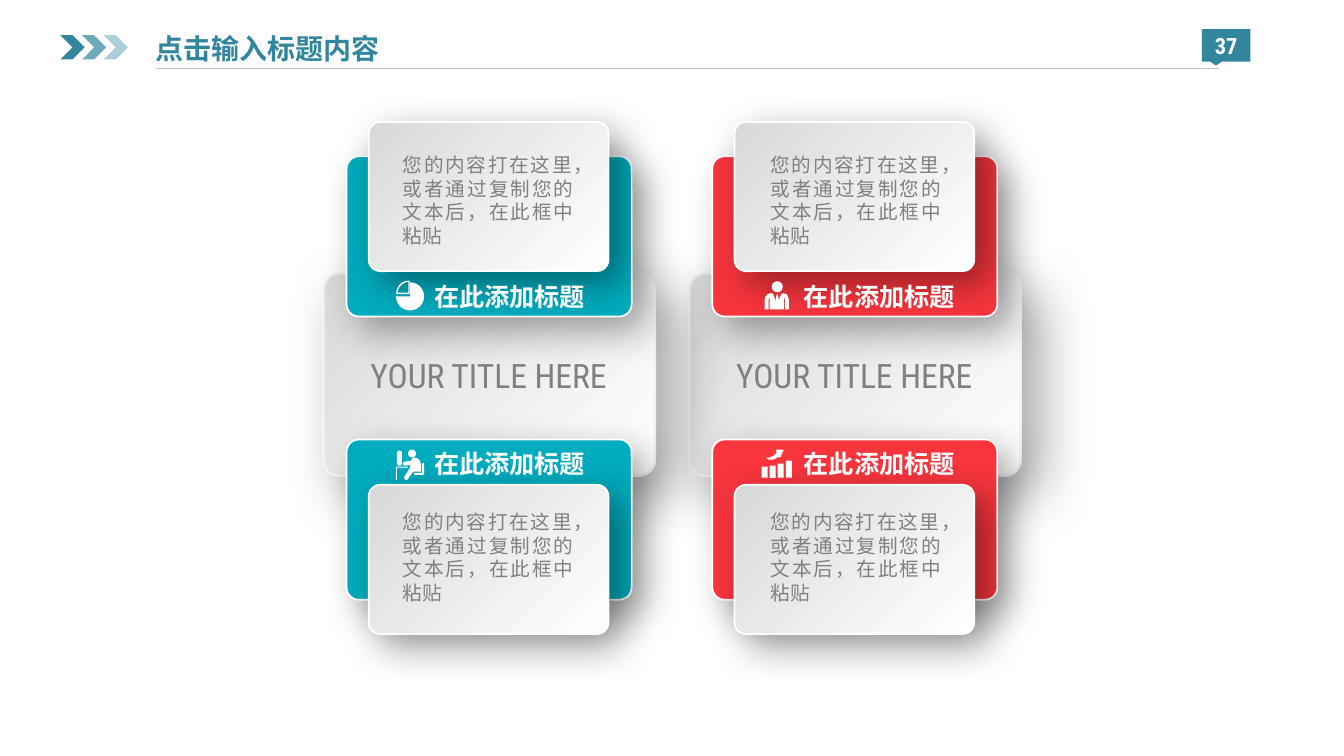
import dataclasses

import lxml.etree
import pptx
import pptx.dml.color
import pptx.enum.shapes
import pptx.enum.text
import pptx.oxml.ns
import pptx.util

SHAPE = pptx.enum.shapes.MSO_SHAPE
ALIGN = pptx.enum.text.PP_ALIGN
ANCHOR = pptx.enum.text.MSO_ANCHOR
CHINESE, LATIN = "Noto Sans CJK SC", "Roboto Condensed"
TEAL, WHITE, GREY = "31859C", "FFFFFF", "808080"
BODY = "您的内容打在这里，或者通过复制您的文本后，在此框中粘贴"
PANEL_SIZE, CARD_SIZE, SHEET_SIZE = (3.29, 2.01), (2.83, 1.59), (2.38, 1.48)


@dataclasses.dataclass
class Column:
    left: float
    accent: str
    heading_left: float
    body_left: float
    icons: tuple


@dataclasses.dataclass
class Row:
    card_top: float
    sheet_top: float
    heading_top: float
    body_top: float


def color(hex_text):
    return pptx.dml.color.RGBColor.from_string(hex_text)


def inches(*lengths):
    return [pptx.util.Inches(length) for length in lengths]


def apply_format(target, values):
    for name, value in values.items():
        setattr(target, name, value)


def add_xml(parent, tag, **attributes):
    return lxml.etree.SubElement(parent, pptx.oxml.ns.qn(tag), attributes)


def set_text(shape, text, size, font, hex_text, align=ALIGN.LEFT, bold=False,
             anchor=ANCHOR.TOP, wrap=True, margins=(0.1, 0.05)):
    side, edge = inches(*margins)
    apply_format(shape.text_frame, {
        "word_wrap": wrap, "vertical_anchor": anchor,
        "auto_size": pptx.enum.text.MSO_AUTO_SIZE.NONE,
        "margin_left": side, "margin_right": side,
        "margin_top": edge, "margin_bottom": edge})
    paragraph = shape.text_frame.paragraphs[0]
    apply_format(paragraph, {"alignment": align,
                             "line_spacing": pptx.util.Pt(size * 1.2)})
    run = paragraph.add_run()
    run.text = text
    apply_format(run.font, {"size": pptx.util.Pt(size), "name": font, "bold": bold})
    run.font.color.rgb = color(hex_text)
    add_xml(run._r.get_or_add_rPr(), "a:ea", typeface=font)


def add_text(slide, box, text, size, font, hex_text, **options):
    shape = slide.shapes.add_textbox(*inches(*box))
    set_text(shape, text, size, font, hex_text, **options)


def paint(shape, hex_text):
    shape.shadow.inherit = False
    shape.fill.solid()
    shape.fill.fore_color.rgb = color(hex_text)
    shape.line.fill.background()


def add_solid(shapes, preset, box, hex_text=WHITE):
    shape = shapes.add_shape(preset, *inches(*box))
    paint(shape, hex_text)
    return shape


def add_outline(shapes, points):
    """Draw a white polygon from points in hundredths of an inch."""
    builder = shapes.build_freeform(*points[0], scale=pptx.util.Inches(0.01))
    builder.add_line_segments(points[1:], close=True)
    paint(builder.convert_to_shape(), WHITE)


def add_rounded(slide, box, line, width, shadow, accent=None):
    """Add a shadowed rounded box, grey gradient unless an accent is given."""
    shape = add_solid(slide.shapes, SHAPE.ROUNDED_RECTANGLE, box, accent or WHITE)
    shape.adjustments[0] = 0.077
    if not accent:
        shape.fill.gradient()
        shape.fill.gradient_angle = 315
        for stop, shade in zip(shape.fill.gradient_stops, ("D9D9D9", WHITE)):
            stop.color.rgb = color(shade)
    shape.line.color.rgb = color(line)
    shape.line.width = pptx.util.Pt(width)
    opacity, blur, distance = shadow
    effects = shape._element.spPr.find(pptx.oxml.ns.qn("a:effectLst"))
    outer = add_xml(effects, "a:outerShdw", blurRad=str(pptx.util.Pt(blur)),
                    dist=str(pptx.util.Pt(distance)), dir="2700000",
                    algn="tl", rotWithShape="0")
    black = add_xml(outer, "a:srgbClr", val="000000")
    add_xml(black, "a:alpha", val=str(opacity * 1000))


def add_pie_icon(shapes):
    pie = add_solid(shapes, SHAPE.PIE, (3.93, 2.8, 0.28, 0.28))
    pie.adjustments[0], pie.adjustments[1] = 162, 108
    quarter = add_solid(shapes, SHAPE.PIE, (3.94, 2.79, 0.24, 0.24))
    quarter.adjustments[0], quarter.adjustments[1] = 108, 162
    quarter.fill.background()
    quarter.line.color.rgb = color(WHITE)
    quarter.line.width = pptx.util.Pt(1)


def add_person_icon(shapes):
    add_solid(shapes, SHAPE.OVAL, (7.66, 2.79, 0.11, 0.11))
    add_outline(shapes, [
        (759, 307), (759, 297), (760, 294), (762, 292), (764, 291), (767, 291),
        (769, 295.5), (771, 301), (770, 297), (771, 292), (772, 292), (773, 297),
        (771.5, 301), (774, 295), (776, 291), (778, 291), (781, 292), (782, 294),
        (783, 297), (783, 307), (779, 307), (779, 296), (778, 296), (778, 307),
        (764, 307), (764, 296), (763, 296), (763, 307)])


def add_desk_icon(shapes):
    add_solid(shapes, SHAPE.ROUNDED_RECTANGLE, (3.94, 4.47, 0.05, 0.15)).adjustments[0] = 0.5
    add_solid(shapes, SHAPE.OVAL, (4.05, 4.46, 0.08, 0.08))
    add_outline(shapes, [(393, 463), (405, 463), (405, 464), (394, 464),
                         (394, 476), (393, 476)])
    add_outline(shapes, [
        (402, 472), (401, 474), (402, 476), (404, 476), (405, 475), (410, 468),
        (418, 468), (418, 462), (417, 457), (415, 455), (412, 454), (410, 454),
        (408, 457), (402, 458), (400, 459), (400, 461), (402, 462), (407, 461),
        (407, 464)])
    add_outline(shapes, [(411, 469), (419, 469), (419, 460), (420, 459),
                         (421, 460), (421, 470), (420, 471), (411, 471)])


def add_growth_icon(shapes):
    for index, height in enumerate((0.11, 0.12, 0.14, 0.17)):
        add_solid(shapes, SHAPE.RECTANGLE,
                  (7.56 + index * 0.08, 4.74 - height, 0.06, height))
    add_outline(shapes, [
        (771, 449), (768, 452), (764, 453.5), (760, 454), (763, 455.5),
        (768, 455.5), (773, 453), (774, 455), (778, 446), (770, 446)])


def add_header(slide):
    chevrons = slide.shapes.add_group_shape().shapes
    for index, opacity in enumerate((100, 70, 40)):
        chevron = add_solid(chevrons, SHAPE.CHEVRON,
                            (0.6 + index * 0.215, 0.35, 0.24, 0.24), TEAL)
        fill_color = chevron.fill._xPr.find(".//" + pptx.oxml.ns.qn("a:srgbClr"))
        add_xml(fill_color, "a:alpha", val=str(opacity * 1000))
    title = slide.shapes.title
    apply_format(title, dict(zip(("left", "top", "width", "height"),
                                 inches(1.47, 0.27, 2.44, 0.41))))
    set_text(title, "点击输入标题内容", 20, CHINESE, TEAL, bold=True,
             wrap=False, margins=(0.07, 0.04))
    rule = slide.shapes.add_connector(pptx.enum.shapes.MSO_CONNECTOR.STRAIGHT,
                                      *inches(1.55, 0.68, 12.1, 0.68))
    rule.line.color.rgb = color("BFBFBF")
    rule.line.width = pptx.util.Pt(0.75)
    add_xml(rule._element.spPr, "a:effectLst")
    badge = add_solid(slide.shapes, SHAPE.RECTANGULAR_CALLOUT,
                      (11.93, 0.29, 0.48, 0.32), TEAL)
    set_text(badge, "37", 16, LATIN, WHITE, align=ALIGN.CENTER, bold=True,
             anchor=ANCHOR.MIDDLE, wrap=False, margins=(0.07, 0))


def main():
    presentation = pptx.Presentation()
    presentation.slide_width, presentation.slide_height = inches(13.34, 7.5)
    slide = presentation.slides.add_slide(presentation.slide_layouts[5])
    columns = (Column(3.21, "01ACBE", 4.21, 3.9, (add_pie_icon, add_desk_icon)),
               Column(6.84, "F8353D", 7.88, 7.55, (add_person_icon, add_growth_icon)))
    rows = (Row(1.55, 1.21, 2.74, 1.47), Row(4.36, 4.81, 4.4, 5.01))

    add_header(slide)
    for column in reversed(columns):
        add_rounded(slide, (column.left, 2.71, *PANEL_SIZE), "F2F2F2", 1.75, (35, 40, 19))
    for index, row in enumerate(rows):
        for column in columns:
            add_rounded(slide, (column.left + 0.23, row.card_top, *CARD_SIZE),
                        WHITE, 1.25, (35, 27, 13), column.accent)
            add_rounded(slide, (column.left + 0.45, row.sheet_top, *SHEET_SIZE),
                        WHITE, 1.25, (40, 28, 12))
            add_text(slide, (column.body_left, row.body_top, 1.89, 1.04), BODY,
                     14, CHINESE, GREY, align=ALIGN.JUSTIFY)
            add_text(slide, (column.heading_left, row.heading_top, 1.7, 0.4),
                     "在此添加标题", 18, CHINESE, WHITE, bold=True, wrap=False)
            column.icons[index](slide.shapes.add_group_shape().shapes)
    for column in columns:
        add_text(slide, (column.left + 0.22, 3.47, 2.84, 0.5), "YOUR TITLE HERE",
                 24, LATIN, GREY, align=ALIGN.CENTER)
    presentation.save("out.pptx")


if __name__ == "__main__":
    main()
